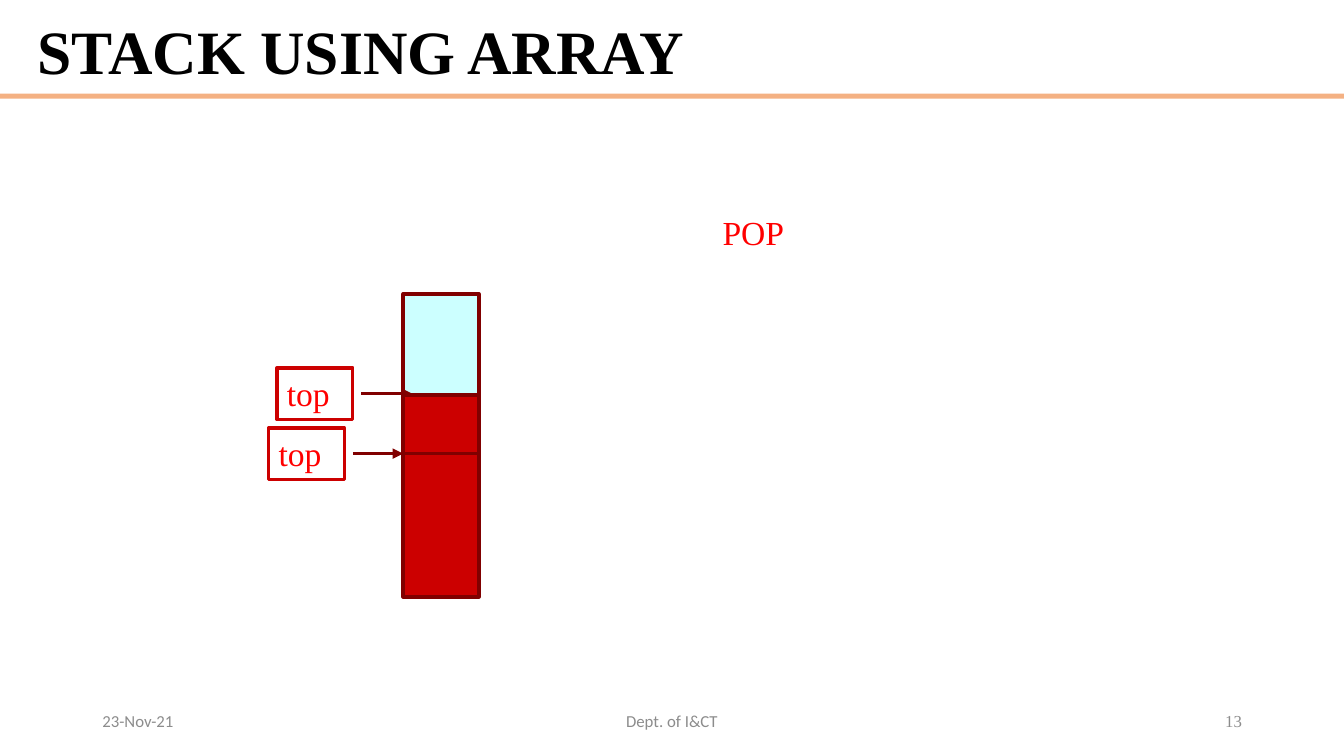
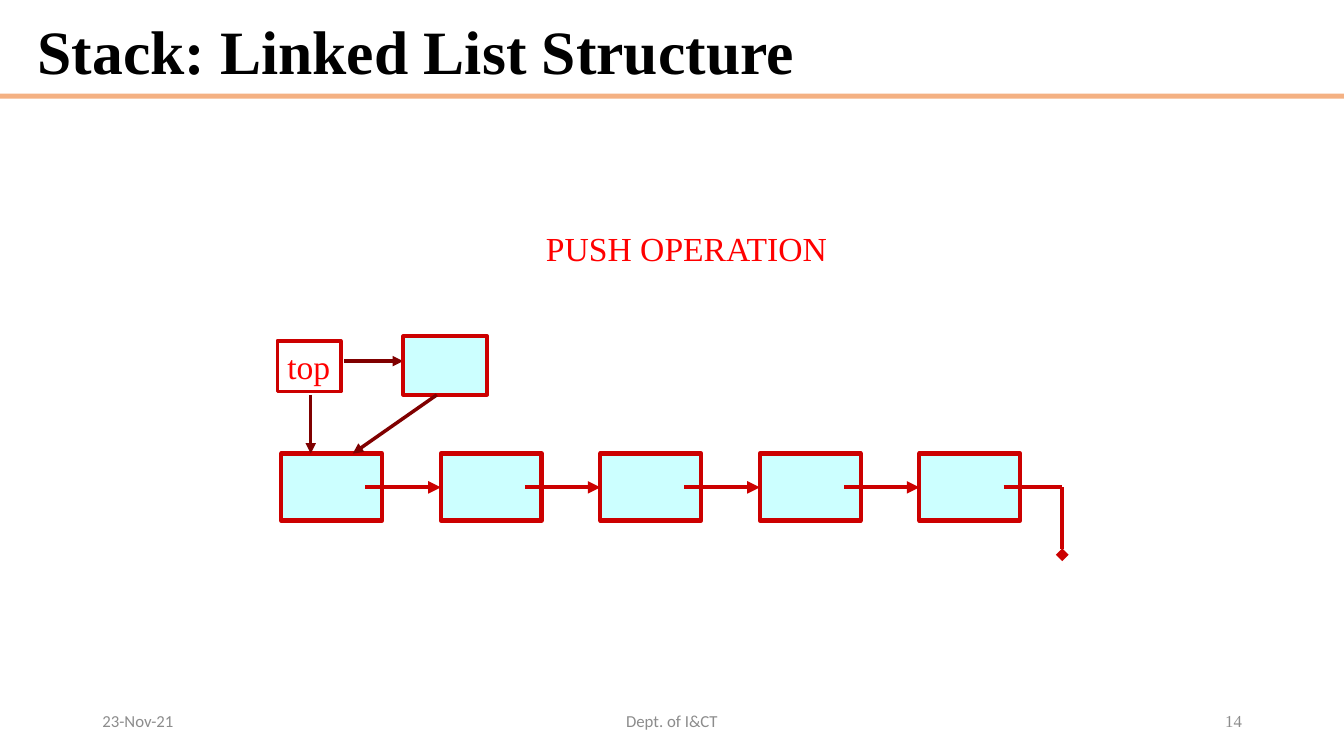
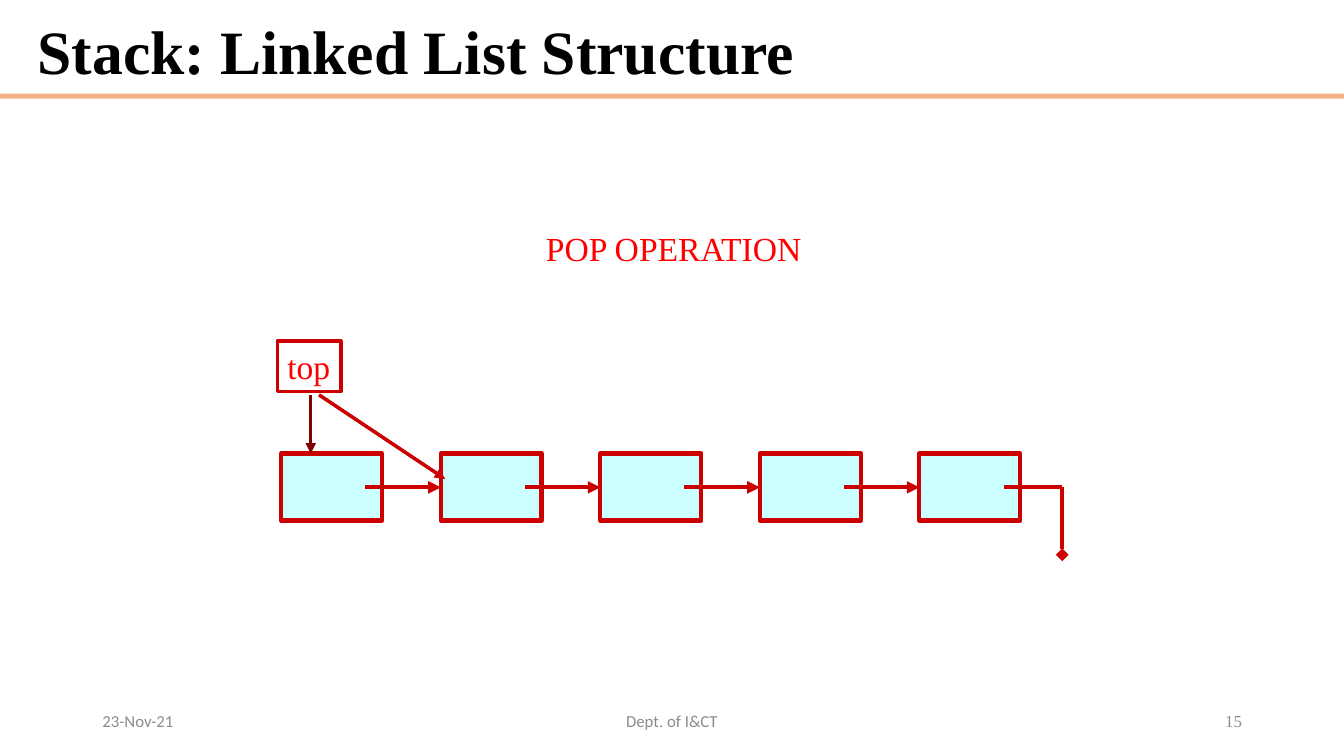
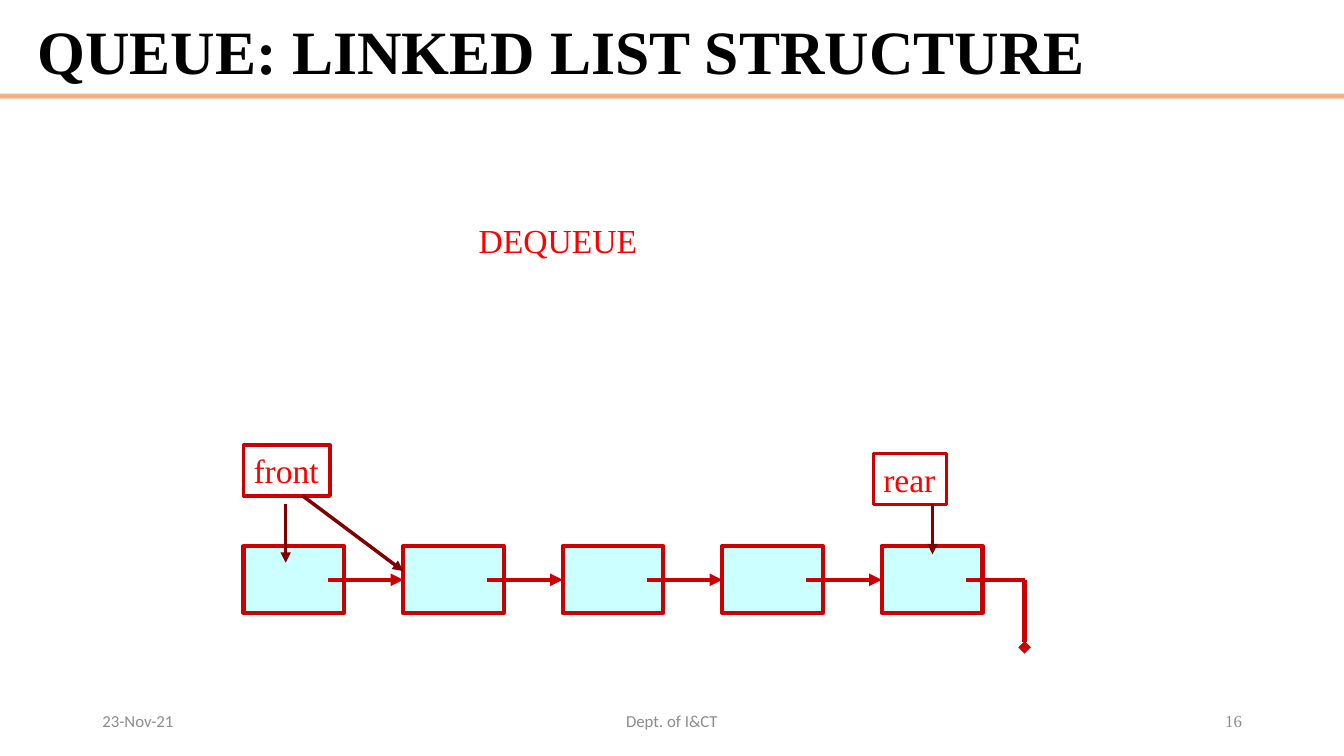
from dataclasses import dataclass

from lxml.etree import SubElement
from pptx import Presentation
from pptx.dml.color import RGBColor as Color
from pptx.enum.shapes import MSO_CONNECTOR as Connector, MSO_SHAPE as Preset
from pptx.enum.text import MSO_ANCHOR as Anchor, MSO_AUTO_SIZE as AutoSize, PP_ALIGN as Align
from pptx.oxml.ns import qn
from pptx.util import Cm, Pt


@dataclass(frozen=True)
class Theme:
    band: Color = Color(0xF4, 0xB1, 0x83)
    title: Color = Color(0, 0, 0)
    footer: Color = Color(0x8C, 0x8C, 0x8C)
    label: Color = Color(0xFF, 0, 0)
    red: Color = Color(0xCC, 0, 0)
    maroon: Color = Color(0x80, 0, 0)
    cell: Color = Color(0xCC, 0xFF, 0xFF)
    serif: str = "Times New Roman"
    sans: str = "Calibri"
    title_size: float = 44
    label_size: float = 24
    footer_size: float = 12
    thin: float = 2.5
    thick: float = 3


THEME = Theme()
SLIDE_WIDTH, SLIDE_HEIGHT = 33.87, 19.05
NODE_COUNT, NODE_WIDTH, NODE_HEIGHT, NODE_PITCH = 5, 2.54, 1.69, 4.02
LINK_INSET, LINK_DROP, TAIL_REACH = 2.12, 0.85, 3.6
STACK_LEFT, STACK_WIDTH = 10.16, 1.91


def set_font(paragraph, size, color, name, bold=False):
    font = paragraph.font
    font.size, font.name, font.bold = Pt(size), name, bold
    font.color.rgb = color


def place(shape, left, top, width, height):
    shape.left, shape.top = Cm(left), Cm(top)
    shape.width, shape.height = Cm(width), Cm(height)


def add_rectangle(slide, left, top, width, height, fill=None, outline=None, weight=THEME.thin):
    shape = slide.shapes.add_shape(Preset.RECTANGLE, Cm(left), Cm(top), Cm(width), Cm(height))
    shape.shadow.inherit = False
    if fill is None:
        shape.fill.background()
    else:
        shape.fill.solid()
        shape.fill.fore_color.rgb = fill
    if outline is None:
        shape.line.fill.background()
    else:
        shape.line.color.rgb = outline
        shape.line.width = Pt(weight)
    return shape


def add_label(slide, text, left, top, width, height=1.28, outline=None):
    shape = add_rectangle(slide, left, top, width, height, outline=outline)
    frame = shape.text_frame
    frame.word_wrap = True
    frame.margin_right = 0
    frame.vertical_anchor = Anchor.TOP
    paragraph = frame.paragraphs[0]
    paragraph.text = text
    paragraph.alignment = Align.LEFT
    set_font(paragraph, THEME.label_size, THEME.label, THEME.serif)


def add_line(slide, start, end, color=THEME.maroon, weight=THEME.thin, tip="triangle"):
    line = slide.shapes.add_connector(
        Connector.STRAIGHT, *(Cm(value) for value in (*start, *end)))
    line.line.color.rgb = color
    line.line.width = Pt(weight)
    if tip:
        SubElement(line.line._get_or_add_ln(), qn("a:tailEnd"), type=tip)
    SubElement(line.element.spPr, qn("a:effectLst"))


def add_footer(slide, text, left, width, alignment, font_name):
    box = slide.shapes.add_textbox(Cm(left), Cm(17.65), Cm(width), Cm(1.02))
    frame = box.text_frame
    frame.word_wrap = True
    frame.vertical_anchor = Anchor.MIDDLE
    paragraph = frame.paragraphs[0]
    paragraph.text = text
    paragraph.alignment = alignment
    set_font(paragraph, THEME.footer_size, THEME.footer, font_name)


def add_titled_slide(presentation, layout, title, number):
    slide = presentation.slides.add_slide(layout)
    frame = slide.shapes.title.text_frame
    frame.auto_size = AutoSize.NONE
    frame.vertical_anchor = Anchor.MIDDLE
    paragraph = frame.paragraphs[0]
    paragraph.text = title
    paragraph.alignment = Align.LEFT
    paragraph.line_spacing = 0.9
    set_font(paragraph, THEME.title_size, THEME.title, THEME.serif, bold=True)
    add_footer(slide, "23-Nov-21", 2.33, 7.62, Align.LEFT, THEME.sans)
    add_footer(slide, "Dept. of I&CT", 11.22, 11.43, Align.CENTER, THEME.sans)
    add_footer(slide, str(number), 23.93, 7.62, Align.RIGHT, THEME.serif)
    return slide


def add_band_to_layout(layout, slide):
    band = add_rectangle(slide, 0, 2.36, SLIDE_WIDTH, 0.13, fill=THEME.band)
    layout.shapes.element.insert(2, band.element)


def add_linked_list(slide, left, top):
    lefts = [left + index * NODE_PITCH for index in range(NODE_COUNT)]
    link_top = top + LINK_DROP
    for node_left in lefts:
        add_rectangle(slide, node_left, top, NODE_WIDTH, NODE_HEIGHT,
                      THEME.cell, THEME.red, THEME.thick)
    for node_left, next_left in zip(lefts, lefts[1:]):
        add_line(slide, (node_left + LINK_INSET, link_top), (next_left, link_top),
                 THEME.red, THEME.thick)
    corner = (lefts[-1] + TAIL_REACH, link_top)
    add_line(slide, (lefts[-1] + LINK_INSET, link_top), corner, THEME.red, THEME.thick, tip=None)
    add_line(slide, corner, (corner[0], link_top + 1.7), THEME.red, THEME.thick, tip="diamond")


def add_stack_cell(slide, top, height, fill):
    add_rectangle(slide, STACK_LEFT, top, STACK_WIDTH, height, fill, THEME.maroon)


def add_stack_pointer(slide, left, top):
    add_label(slide, "top", left, top, STACK_WIDTH, 1.3, THEME.red)
    arrow_top = top + 0.64
    add_line(slide, (left + 2.12, arrow_top), (left + 3.39, arrow_top))


def draw_array_stack(slide):
    add_stack_cell(slide, 11.43, 3.61, THEME.red)
    add_stack_cell(slide, 7.41, 4.02, THEME.cell)
    add_stack_pointer(slide, 6.77, 10.79)
    add_stack_pointer(slide, 6.98, 9.27)
    add_stack_cell(slide, 9.95, 1.48, THEME.red)
    add_label(slide, "POP", 17.96, 5.21, 2.08)


def draw_linked_stack(slide, operation):
    add_linked_list(slide, 7.09, 11.43)
    add_label(slide, "top", 6.99, 8.59, 1.6, outline=THEME.red)
    add_line(slide, (7.83, 9.95), (7.83, 11.43))
    add_label(slide, operation, 13.51, 5.62, 7.67)


def draw_push(slide):
    draw_linked_stack(slide, "PUSH OPERATION")
    add_line(slide, (8.68, 9.1), (10.16, 9.1))
    add_rectangle(slide, 10.16, 8.47, 2.12, 1.48, THEME.cell, THEME.red)
    add_line(slide, (11.01, 9.95), (8.89, 11.43))


def draw_pop(slide):
    draw_linked_stack(slide, "POP OPERATION")
    add_line(slide, (8.04, 9.95), (11.22, 12.07), THEME.red)


def draw_dequeue(slide):
    add_linked_list(slide, 6.14, 13.76)
    add_label(slide, "front", 6.14, 11.22, 2.18, outline=THEME.red)
    add_label(slide, "rear", 22.01, 11.43, 1.84, outline=THEME.red)
    add_line(slide, (7.2, 12.7), (7.2, 14.18))
    add_line(slide, (23.5, 12.7), (23.5, 13.97))
    add_label(slide, "DEQUEUE", 11.81, 5.42, 4.7)
    add_line(slide, (7.62, 12.49), (10.16, 14.39))


def main():
    presentation = Presentation()
    presentation.slide_width, presentation.slide_height = Cm(SLIDE_WIDTH), Cm(SLIDE_HEIGHT)
    layout = presentation.slide_layouts.get_by_name("Title Only")
    place(layout.placeholders[0], 0.69, 0.38, 30.86, 2)
    contents = [
        ("STACK USING ARRAY", draw_array_stack),
        ("Stack: Linked List Structure", draw_push),
        ("Stack: Linked List Structure", draw_pop),
        ("QUEUE: LINKED LIST STRUCTURE", draw_dequeue),
    ]
    for number, (title, draw) in enumerate(contents, start=13):
        slide = add_titled_slide(presentation, layout, title, number)
        draw(slide)
    add_band_to_layout(layout, slide)
    presentation.save("out.pptx")


if __name__ == "__main__":
    main()
